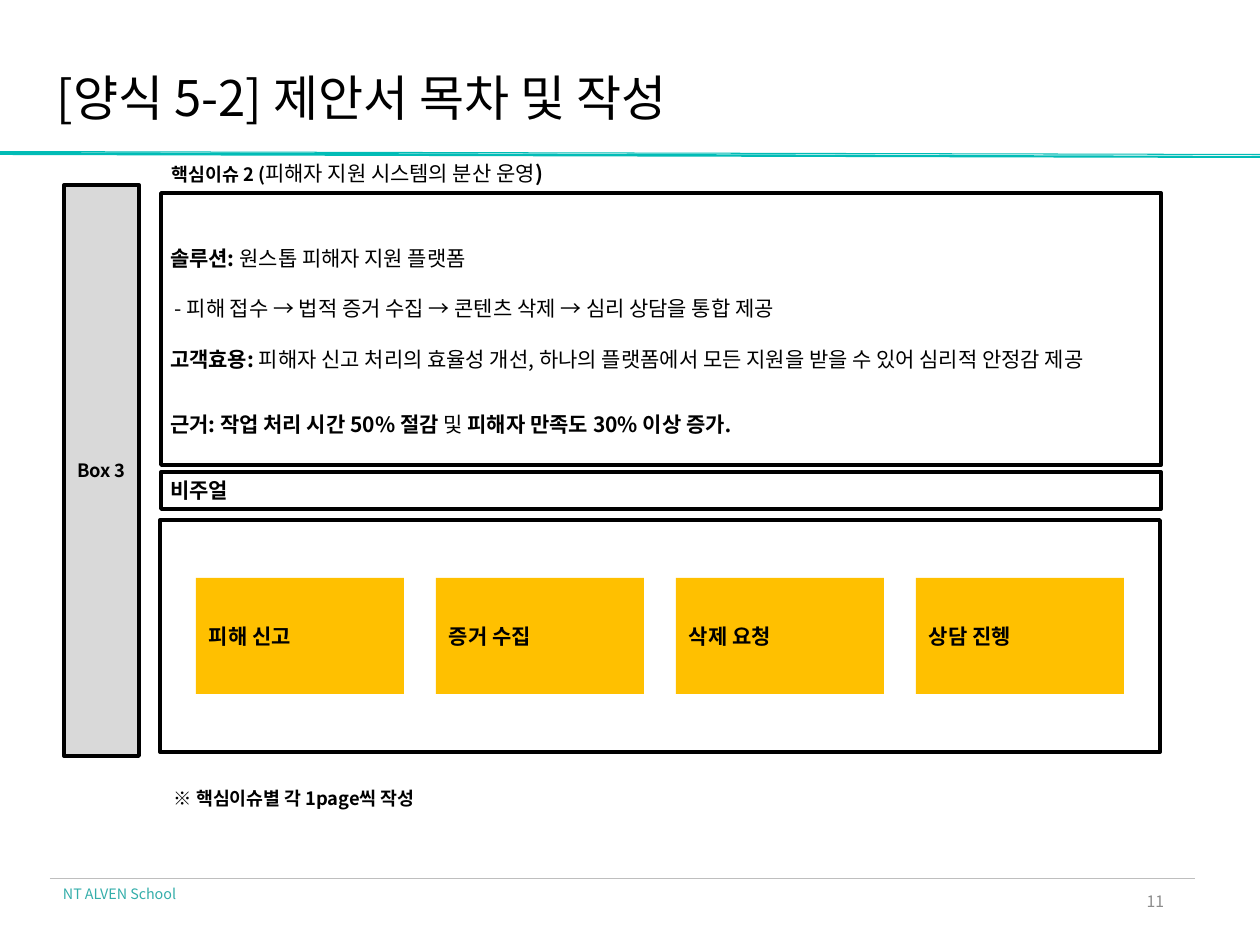
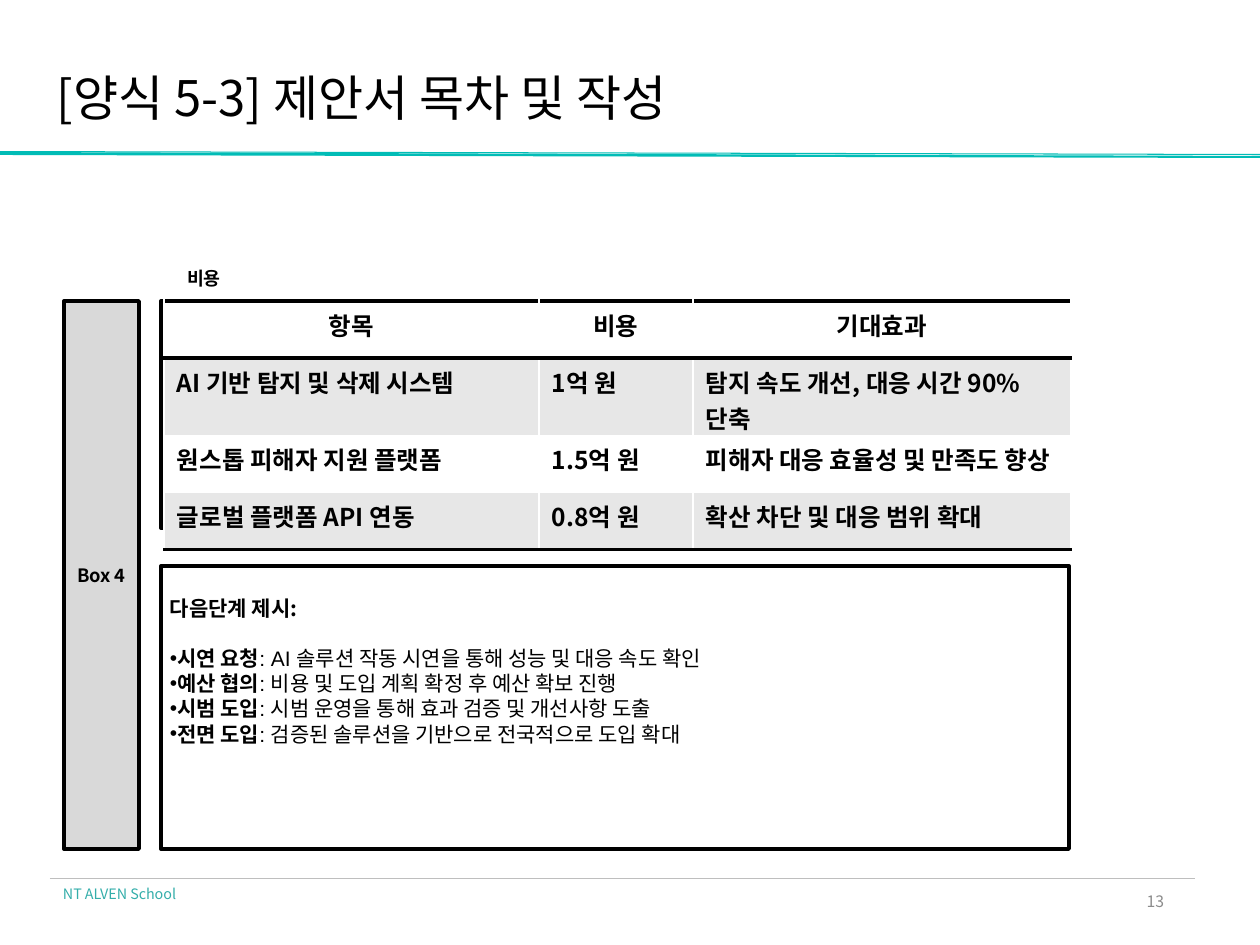
import lxml.etree
import pptx
import pptx.util
import pptx.dml.color
import pptx.enum.shapes
import pptx.enum.text
import pptx.oxml.ns

PX = 914400 / 126
FONT = "Noto Sans CJK KR"
BLACK, WHITE, GREY, TEAL = "000000", "FFFFFF", "D9D9D9", "01BCB6"
GOLD, RULE, STRIPE = "FFC000", "BEBEBE", "E7E7E7"
LEFT = pptx.enum.text.PP_ALIGN.LEFT
MID = pptx.enum.text.PP_ALIGN.CENTER
RIGHT = pptx.enum.text.PP_ALIGN.RIGHT
TOP = pptx.enum.text.MSO_ANCHOR.TOP
CENTRE = pptx.enum.text.MSO_ANCHOR.MIDDLE
BOLD = {"bold": True}
TIGHT = (9, 5, 9, 5)
LOOSE = (13, 6, 13, 6)


def px(*nums):
    return [pptx.util.Emu(round(n * PX)) for n in nums]


def rgb(code):
    return pptx.dml.color.RGBColor.from_string(code)


def node(parent, tag, **attrs):
    item = lxml.etree.SubElement(parent, pptx.oxml.ns.qn(tag))
    for key, val in attrs.items():
        item.set(key, str(val))
    return item


def add_run(para, words, size=12, bold=False, color=BLACK, face=FONT):
    run = para.add_run()
    run.text = words
    font = run.font
    font.size = pptx.util.Pt(size)
    font.bold = bold
    font.color.rgb = rgb(color)
    font.name = face
    node(run._r.get_or_add_rPr(), "a:ea", typeface=FONT)


def write(frame, lines, align=LEFT, anchor=TOP, inset=LOOSE, pitch=(),
          gaps=(), dots=(), **style):
    """Each line is a string or a list of (words, style) runs."""
    frame.word_wrap = True
    frame.auto_size = pptx.enum.text.MSO_AUTO_SIZE.NONE
    frame.vertical_anchor = anchor
    (frame.margin_left, frame.margin_top,
     frame.margin_right, frame.margin_bottom) = px(*inset)
    for i, line in enumerate(lines):
        para = frame.paragraphs[0] if i == 0 else frame.add_paragraph()
        para.alignment = align
        if pitch:
            para.line_spacing = pptx.util.Pt(pitch[i])
        if i in gaps:
            para.space_before = pptx.util.Pt(pitch[i])
        if i in dots:
            props = para._p.get_or_add_pPr()
            props.set("marL", "0")
            props.set("indent", "0")
            node(props, "a:buFont", typeface="Arial")
            node(props, "a:buChar", char="•")
        runs = [(line, {})] if isinstance(line, str) else line
        for words, extra in runs:
            add_run(para, words, **{**style, **extra})


def paint(shape, fill=None, edge=None, width=2.25):
    shape.shadow.inherit = False
    if fill:
        shape.fill.solid()
        shape.fill.fore_color.rgb = rgb(fill)
    else:
        shape.fill.background()
    if edge:
        shape.line.color.rgb = rgb(edge)
        shape.line.width = pptx.util.Pt(width)
    else:
        shape.line.fill.background()


def add_box(slide, place, lines=(), fill=None, edge=BLACK, **style):
    kind = pptx.enum.shapes.MSO_SHAPE.RECTANGLE
    box = slide.shapes.add_shape(kind, *px(*place))
    paint(box, fill, edge)
    write(box.text_frame, lines,
          **{"anchor": CENTRE, "inset": TIGHT, **style})


def add_label(slide, place, lines, **style):
    box = slide.shapes.add_textbox(*px(*place))
    write(box.text_frame, lines, **style)


def add_band(slide, points):
    build = slide.shapes.build_freeform(*points[0], scale=PX)
    build.add_line_segments(points[1:], close=True)
    paint(build.convert_to_shape(), TEAL)


def add_page(deck, title, number):
    """Title, teal bands and footer shared by all slides."""
    slide = deck.slides.add_slide(deck.slide_layouts[5])
    add_band(slide, [(0, 152), (0, 155), (1260, 158), (1260, 156)])
    add_band(slide, [(0, 151), (0, 152), (1260, 155), (1260, 154)])
    rule = slide.shapes.add_connector(
        pptx.enum.shapes.MSO_CONNECTOR.STRAIGHT, *px(50, 878, 1195, 878))
    rule.line.color.rgb = rgb(RULE)
    rule.line.width = pptx.util.Pt(0.5)
    node(rule._element.spPr, "a:effectLst")
    add_label(slide, (890, 876, 283, 50), [number], align=RIGHT,
              anchor=CENTRE, inset=TIGHT, size=9, color="8C8C8C")
    add_label(slide, (50, 879, 163, 30), ["NT ALVEN School"],
              size=8.2, color="34AEAA")
    head = slide.shapes.title
    head.left, head.top, head.width, head.height = px(57, 67, 1138, 59)
    write(head.text_frame, [title], anchor=CENTRE, inset=(0, 0, 0, 0), size=28)
    return slide


def add_side(slide, top, height, name):
    add_box(slide, (64, top, 75, height), [name], fill=GREY,
            align=MID, size=10.5, bold=True)


def add_edge(cell, tag):
    """Cell borders must come before the cell fill."""
    props = cell._tc.get_or_add_tcPr()
    line = node(props, tag, w=25400)
    fill = node(line, "a:solidFill")
    node(fill, "a:srgbClr", val=BLACK)


def add_grid(slide, rows, left, top, widths, height):
    frame = slide.shapes.add_table(
        len(rows), len(widths), *px(left, top, sum(widths), height * len(rows)))
    grid = frame.table
    for col, width in zip(grid.columns, px(*widths)):
        col.width = width
    for r, row in enumerate(rows):
        for c, words in enumerate(row):
            cell = grid.cell(r, c)
            if r == 0:
                add_edge(cell, "a:lnT")
            if r in (0, len(rows) - 1):
                add_edge(cell, "a:lnB")
            cell.fill.solid()
            cell.fill.fore_color.rgb = rgb(STRIPE if r % 2 else WHITE)
            write(cell.text_frame, [words], size=14, bold=True,
                  align=LEFT if r else MID)
            cell.margin_left, cell.margin_right = px(13, 13)
            cell.margin_top, cell.margin_bottom = px(6, 0)


def issue_page(deck):
    slide = add_page(deck, "[양식 5-2] 제안서 목차 및 작성", "11")
    add_side(slide, 185, 571, "Box 3")

    # Issue and its solution
    add_label(slide, (159, 155, 714, 38), [[
        ("핵심이슈 2 (", {"size": 10.5, "bold": True}),
        ("피해자 지원 시스템의 분산 운영", {}), (")", BOLD)]])
    add_box(slide, (161, 193, 1000, 272), [
        [("솔루션: ", BOLD), ("원스톱 피해자 지원 플랫폼", {})],
        " - 피해 접수 → 법적 증거 수집 → 콘텐츠 삭제 → 심리 상담을 통합 제공",
        [("고객효용: ", BOLD),
         ("피해자 신고 처리의 효율성 개선, 하나의 플랫폼에서 모든 지원을 "
          "받을 수 있어 심리적 안정감 제공", {})],
        [("근거: 작업 처리 시간 50% 절감", BOLD), (" 및 ", {}),
         ("피해자 만족도 30% 이상 증가", BOLD), (".", {"size": 16})],
    ], pitch=(28.8, 28.8, 28.8, 38))

    # Visual with four steps
    add_box(slide, (161, 472, 1000, 37), ["비주얼"], bold=True)
    steps = ["피해 신고", "증거 수집", "삭제 요청", "상담 진헹"]
    for i, step in enumerate(steps):
        add_box(slide, (196 + 240 * i, 578, 208, 116), [step],
                fill=GOLD, edge=None, inset=LOOSE, bold=True)
    add_box(slide, (160, 520, 1000, 232))
    add_label(slide, (161, 781, 554, 35), ["※ 핵심이슈별 각 1page씩 작성"],
              size=10.5, bold=True)


def cost_page(deck):
    slide = add_page(deck, "[양식 5-3] 제안서 목차 및 작성", "13")
    add_side(slide, 301, 548, "Box 4")

    # Costs
    add_label(slide, (174, 261, 320, 35), ["비용"], size=10.5, bold=True)
    add_box(slide, (161, 301, 908, 227))
    add_grid(slide, [
        ("항목", "비용", "기대효과"),
        ("AI 기반 탐지 및 삭제 시스템", "1억 원",
         "탐지 속도 개선, 대응 시간 90% 단축"),
        ("원스톱 피해자 지원 플랫폼", "1.5억 원",
         "피해자 대응 효율성 및 만족도 향상"),
        ("글로벌 플랫폼 API 연동", "0.8억 원", "확산 차단 및 대응 범위 확대"),
    ], 164, 301, (375, 154, 378), 57)

    # Next steps
    plans = [
        ("시연 요청", "AI 솔루션 작동 시연을 통해 성능 및 대응 속도 확인"),
        ("예산 협의", "비용 및 도입 계획 확정 후 예산 확보 진행"),
        ("시범 도입", "시범 운영을 통해 효과 검증 및 개선사항 도출"),
        ("전면 도입", "검증된 솔루션을 기반으로 전국적으로 도입 확대"),
    ]
    lines = [[("다음단계 제시:", {"face": FONT, "bold": True})]]
    lines += [[(name, BOLD), (": " + plan, {})] for name, plan in plans]
    add_box(slide, (161, 566, 908, 283), lines, anchor=TOP,
            inset=(9, 29, 9, 5), pitch=[14.4] * len(lines), gaps=(1,),
            dots=range(1, len(lines)), face="Arial")


def main():
    deck = pptx.Presentation()
    deck.slide_width, deck.slide_height = px(1260, 945)
    issue_page(deck)
    cost_page(deck)
    deck.save("out.pptx")


if __name__ == "__main__":
    main()
